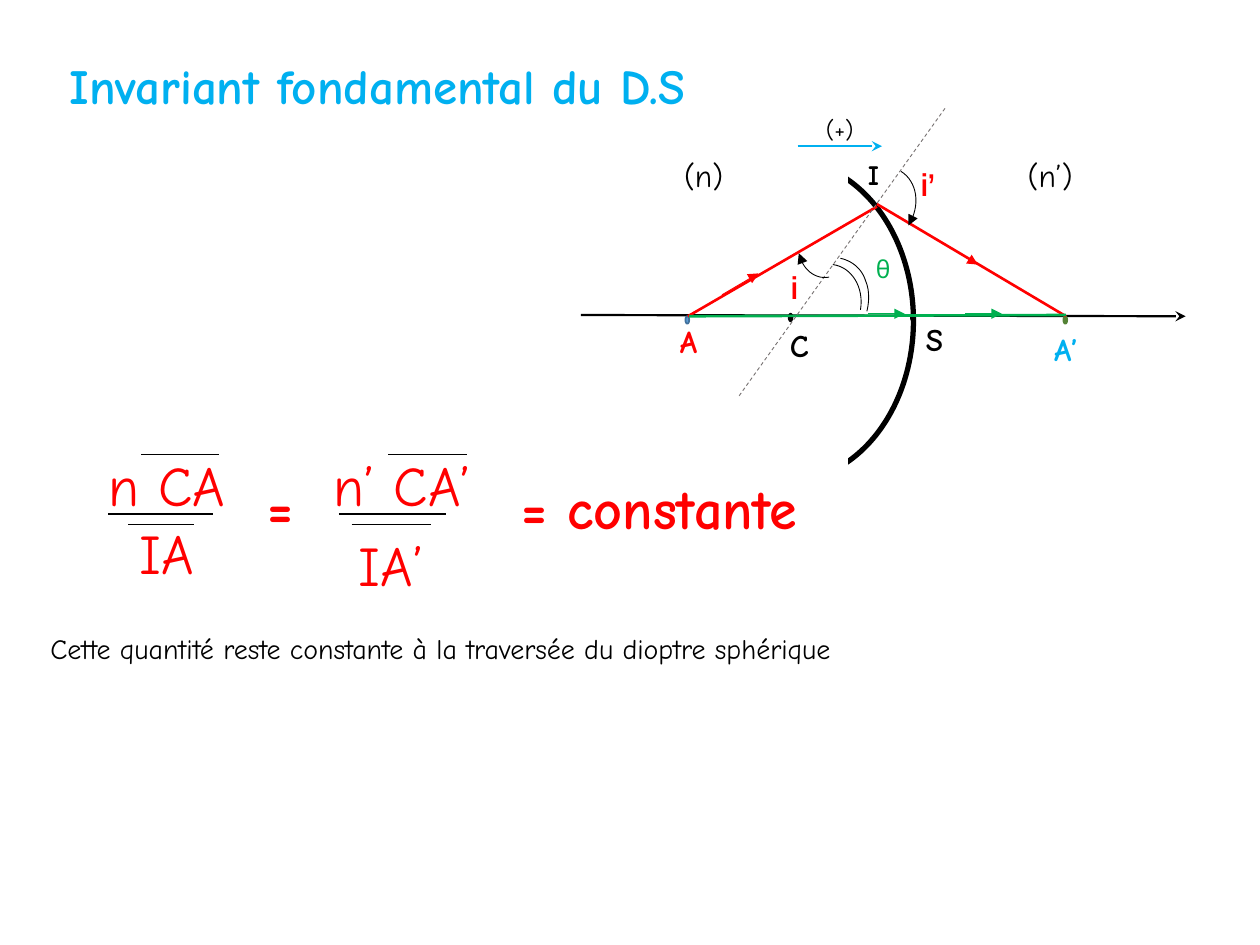
import pptx
import pptx.util
import pptx.dml.color
import pptx.enum.dml
import pptx.enum.shapes
import pptx.enum.text
import pptx.oxml
import pptx.oxml.ns

RGB = pptx.dml.color.RGBColor
BLACK = RGB(0, 0, 0)
WHITE = RGB(255, 255, 255)
RED = RGB(255, 0, 0)
GREEN = RGB(0, 176, 80)
SKY = RGB(0, 176, 240)
BLUE = RGB(91, 155, 213)
NAVY = RGB(65, 113, 156)
OLIVE = RGB(84, 130, 53)
GREY = RGB(118, 113, 113)
COLS, ROWS = 100, 75
CELL = pptx.util.Inches(10) // COLS
COMIC, NARROW = "Comic Neue", "Arial Narrow"
SHAPE = pptx.enum.shapes.MSO_SHAPE
ALIGN = pptx.enum.text.PP_ALIGN
LEFT, MID = ALIGN.LEFT, ALIGN.CENTER
STEPS = 16


def cells(*nums):
    return [round(n * CELL) for n in nums]


def apply(item, fmt):
    for key, val in fmt.items():
        setattr(item, key, val)


def write(shape, text, size, color, bold=False, face=COMIC, align=MID, wrap=True, lead=None):
    frame = shape.text_frame
    apply(frame, {"text": text, "word_wrap": wrap,
                  "auto_size": pptx.enum.text.MSO_AUTO_SIZE.NONE,
                  "vertical_anchor": pptx.enum.text.MSO_ANCHOR.TOP})
    for para in frame.paragraphs:
        apply(para, {"alignment": align, "space_before": pptx.util.Pt(0),
                     "line_spacing": lead})
        for run in para.runs:
            apply(run.font, {"name": face, "size": pptx.util.Pt(size), "bold": bold})
            run.font.color.rgb = color


def ink(line, color, width, head=None):
    line.color.rgb = color
    line.width = pptx.util.Pt(width)
    if head:
        tip = pptx.oxml.ns.qn("a:tailEnd")
        line._get_or_add_ln().append(pptx.oxml.parse_xml(
            f'<a:tailEnd {pptx.oxml.ns.nsdecls("a")} type="{head}"/>'))


class Box:
    def __init__(self, slide, left, top):
        self.shapes, self.left, self.top = slide.shapes, left, top

    def place(self, col, row):
        return cells(self.left + col, self.top + row)

    def label(self, col, row, wide, high, text, size, color, **fmt):
        box = self.shapes.add_textbox(*self.place(col, row), *cells(wide, high))
        write(box, text, size, color, **fmt)

    def line(self, start, end, color, width, head=None, dash=None):
        kind = pptx.enum.shapes.MSO_CONNECTOR.STRAIGHT
        link = self.shapes.add_connector(kind, *self.place(*start), *self.place(*end))
        if dash:
            link.line.dash_style = dash
        ink(link.line, color, width, head)
        link._element.spPr.append(pptx.oxml.parse_xml(
            f'<a:effectLst {pptx.oxml.ns.nsdecls("a")}/>'))

    def solid(self, kind, col, row, wide, high, fill, edge=None, width=1):
        shape = self.shapes.add_shape(kind, *self.place(col, row), *cells(wide, high))
        shape.shadow.inherit = False
        shape.fill.solid()
        shape.fill.fore_color.rgb = fill
        if edge is None:
            shape.line.fill.background()
        else:
            ink(shape.line, edge, width)

    def curve(self, knots, head=None):
        dots = []
        for k in range(0, len(knots) - 1, 3):
            a, b, c, d = knots[k:k + 4]
            for n in range(STEPS + 1):
                t = n / STEPS
                u = 1 - t
                dots.append(self.place(*(
                    u ** 3 * p + 3 * u * u * t * q + 3 * u * t * t * r + t ** 3 * s
                    for p, q, r, s in zip(a, b, c, d))))
        pen = self.shapes.build_freeform(*dots[0], scale=1)
        pen.add_line_segments(dots[1:], close=False)
        arc = pen.convert_to_shape()
        arc.shadow.inherit = False
        arc.fill.background()
        ink(arc.line, BLACK, 0.5, head)


def draw_lens(slide, left, top):
    box = Box(slide, left, top)
    box.line((17.3, 3.6), (24, 3.6), SKY, 1, "stealth")
    box.label(15, 0.6, 11.3, 3.4, "(+)", 14, BLACK)
    box.solid(SHAPE.OVAL, 6.5, 4.7, 20, 25.5, WHITE, BLACK, 3)
    box.solid(SHAPE.RECTANGLE, 5.2, 4.4, 16.1, 37, WHITE)
    box.line((0.1, 17), (48.1, 17.1), BLACK, 1.25, "stealth")

    for col, row, fill, edge in ((26.3, 16.9, BLACK, BLACK), (16.6, 16.9, BLACK, BLACK),
                                 (8.4, 17.1, BLUE, NAVY), (38.4, 17.1, OLIVE, OLIVE)):
        box.solid(SHAPE.OVAL, col, row, 0.3, 0.6, fill, edge)

    for start, end, color in (((8.6, 17.1), (23.6, 8.4), RED),
                              ((23.6, 8.2), (38.6, 17.1), RED),
                              ((8.7, 17.1), (38.6, 17), GREEN)):
        box.line(start, end, color, 1.5)
    for start, end, color, width in (((11.3, 15.4), (14.2, 13.7), RED, 0.5),
                                     ((28.7, 11.2), (31.6, 13), RED, 0.5),
                                     ((30.6, 16.9), (33.5, 16.9), GREEN, 0.75),
                                     ((22.9, 16.9), (25.8, 16.9), GREEN, 0.75)):
        box.line(start, end, color, width, "triangle")
    box.line((29, 0.6), (12.6, 23.5), GREY, 0.5, dash=pptx.enum.dml.MSO_LINE.DASH)

    for knots, head in (
            (((19.8, 14), (18.7, 14.2), (17.7, 13.4), (17.4, 12.1)), "triangle"),
            (((25.5, 5.6), (26.8, 6.4), (27.1, 8.3), (26.1, 9.9)), "triangle"),
            (((20.1, 13), (21.6, 13.2), (22.6, 14.8), (22.3, 16.6)), None),
            (((20.7, 12.5), (21.6, 12.7), (22.4, 13.3), (22.7, 14.3),
              (23, 15), (23, 15.9), (22.8, 16.7)), None)):
        box.curve(knots, head)

    for col, row, wide, text, color, bold, face, align in (
            (31.5, 3.9, 11.7, "(n’)", BLACK, False, COMIC, MID),
            (4, 3.9, 11.7, "(n)", BLACK, False, COMIC, MID),
            (26.5, 16.9, 3.9, "S", BLACK, True, COMIC, LEFT),
            (15.7, 17.4, 3.9, "C", BLACK, True, COMIC, LEFT),
            (4.4, 17.1, 8.5, "A", RED, True, COMIC, MID),
            (35.7, 17.7, 5.8, "A’", SKY, True, COMIC, MID),
            (14.9, 12.8, 4.3, "i", RED, True, NARROW, MID),
            (24.6, 4.6, 6.1, "i’", RED, True, NARROW, MID)):
        box.label(col, row, wide, 4, text, 18, color, bold=bold, face=face, align=align)
    box.label(21.9, 4, 4.6, 3.7, "I", 16, BLACK, bold=True, align=LEFT)
    box.label(21.7, 11.7, 4.8, 3.4, "θ", 14, GREEN)


def draw_law(slide, left, top):
    box = Box(slide, left, top)
    for col, row, wide, high, text, bold, wrap in (
            (0.4, 0.3, 15.7, 11.7, "n CA\nIA", False, True),
            (19.1, 0.3, 15.7, 11.7, "n’ CA’", False, True),
            (15.1, 2, 4.4, 6.4, "=", True, True),
            (22.5, 6.6, 7.1, 6.4, "IA’", False, False),
            (35.3, 2.1, 24.1, 6.4, "= constante", True, False)):
        box.label(col, row, wide, high, text, 32, RED, bold=bold, wrap=wrap)
    for col, row, wide, width in ((3.6, 5.8, 8.3, 1.5), (21.9, 5.8, 8.5, 1.5),
                                  (6.2, 1.1, 6.2, 0.5), (25.8, 1.1, 6.3, 0.5),
                                  (5.2, 6.6, 5.2, 0.5), (22.9, 6.6, 6.3, 0.5)):
        box.line((col, row), (col + wide, row), BLACK, width)


def fill_holder(shape, box, text, size, color, **fmt):
    apply(shape, dict(zip(("left", "top", "width", "height"), cells(*box))))
    write(shape, text, size, color, align=LEFT, **fmt)


def main():
    deck = pptx.Presentation()
    deck.slide_width, deck.slide_height = COLS * CELL, ROWS * CELL
    slide = deck.slides.add_slide(deck.slide_layouts[1])
    title, body = slide.placeholders
    fill_holder(title, (4.5, 4.4, 65.1, 8.3), "Invariant fondamental du D.S",
                28, SKY, bold=True, lead=0.9)
    fill_holder(body, (3, 49.6, 73.7, 3.7),
                "Cette quantité reste constante à la traversée du dioptre sphérique",
                16, BLACK)
    props = body.text_frame.paragraphs[0]._p.get_or_add_pPr()
    for key in ("marL", "indent"):
        props.set(key, "0")
    props.append(pptx.oxml.parse_xml(f'<a:buNone {pptx.oxml.ns.nsdecls("a")}/>'))
    draw_lens(slide, 46, 8)
    draw_law(slide, 5, 35)
    deck.save("out.pptx")


if __name__ == "__main__":
    main()
